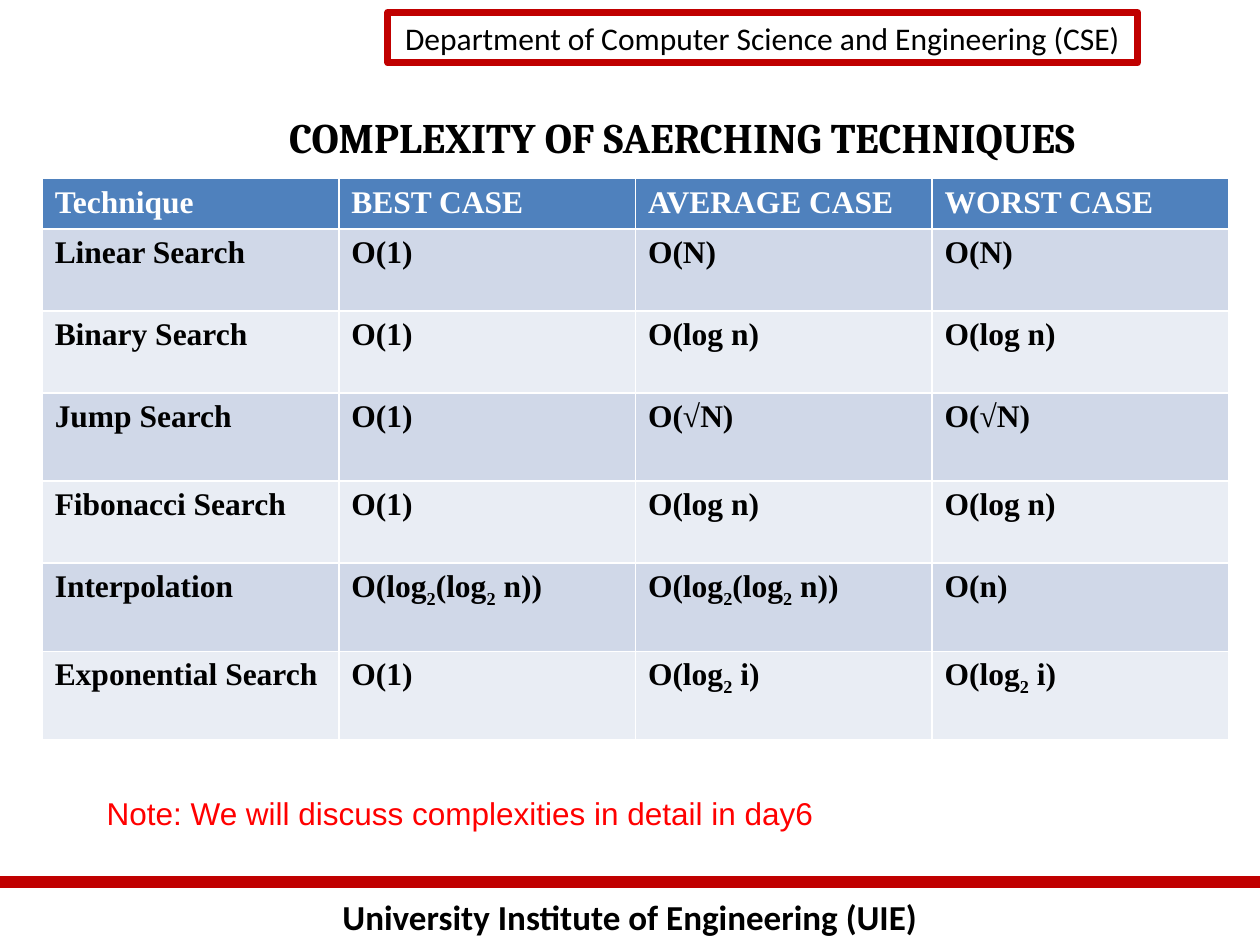
from lxml.etree import SubElement
from pptx import Presentation
from pptx.dml.color import RGBColor
from pptx.enum.shapes import MSO_CONNECTOR as Connector, MSO_SHAPE as Shape
from pptx.enum.text import MSO_ANCHOR as Anchor, PP_ALIGN as Align
from pptx.oxml.ns import qn
from pptx.util import Cm, Pt

BLACK = RGBColor(0x00, 0x00, 0x00)
WHITE = RGBColor(0xFF, 0xFF, 0xFF)
NOTE_RED = RGBColor(0xFF, 0x00, 0x00)
FRAME_RED = RGBColor(0xC0, 0x00, 0x00)
HEADER_BLUE = RGBColor(0x4F, 0x81, 0xBD)
BAND_DARK = RGBColor(0xD0, 0xD8, 0xE8)
BAND_LIGHT = RGBColor(0xE9, 0xED, 0xF4)


def write_text(text_frame, text, font="Calibri", size=18, color=BLACK, bold=False, align=Align.LEFT):
    paragraph = text_frame.paragraphs[0]
    paragraph.alignment = align
    for index, part in enumerate(text.split("₂")):
        pieces = [(part, "0")] if index == 0 else [("2", "-25000"), (part, "0")]
        for piece, baseline in pieces:
            run = paragraph.add_run()
            run.text = piece
            run.font.name = font
            run.font.size = Pt(size)
            run.font.bold = bold
            run.font.color.rgb = color
            run.font._element.set("baseline", baseline)


presentation = Presentation()
presentation.slide_width = Cm(25.4)
presentation.slide_height = Cm(19.05)
slide = presentation.slides.add_slide(presentation.slide_layouts[5])
shapes = slide.shapes

footer = shapes.add_textbox(Cm(0), Cm(17.93), Cm(25.4), Cm(1.11))
footer.text_frame.word_wrap = True
write_text(footer.text_frame, "University Institute of Engineering (UIE)", size=20, bold=True, align=Align.CENTER)

footer_line = shapes.add_connector(Connector.STRAIGHT, Cm(0), Cm(17.78), Cm(25.4), Cm(17.78))
footer_line.line.color.rgb = FRAME_RED
footer_line.line.width = Pt(7)
SubElement(footer_line._element.spPr, qn("a:effectLst"))

department = shapes.add_shape(Shape.RECTANGLE, Cm(7.82), Cm(0.25), Cm(15.11), Cm(1.02))
department.shadow.inherit = False
department.fill.background()
department.line.color.rgb = FRAME_RED
department.line.width = Pt(4)
department.text_frame.word_wrap = False
write_text(department.text_frame, "Department of Computer Science and Engineering (CSE)", align=Align.CENTER)

title = shapes.title
title.left, title.top, title.width, title.height = Cm(2.74), Cm(1.9), Cm(22.02), Cm(1.7)
title.text_frame.vertical_anchor = Anchor.MIDDLE
write_text(title.text_frame, "COMPLEXITY OF SAERCHING TECHNIQUES", font="Cambria", size=24, bold=True,
           align=Align.CENTER)

complexities = [
    ("Technique", "BEST CASE", "AVERAGE CASE", "WORST CASE"),
    ("Linear Search", "O(1)", "O(N)", "O(N)"),
    ("Binary Search", "O(1)", "O(log n)", "O(log n)"),
    ("Jump Search", "O(1)", "O(√N)", "O(√N)"),
    ("Fibonacci Search", "O(1)", "O(log n)", "O(log n)"),
    ("Interpolation", "O(log₂(log₂ n))", "O(log₂(log₂ n))", "O(n)"),
    ("Exponential Search", "O(1)", "O(log₂ i)", "O(log₂ i)"),
]
row_heights = [1.02, 1.65, 1.65, 1.78, 1.65, 1.78, 1.78]
table = shapes.add_table(len(complexities), 4, Cm(0.85), Cm(3.6), Cm(23.92), Cm(sum(row_heights))).table

for row_index, (row_texts, height) in enumerate(zip(complexities, row_heights)):
    table.rows[row_index].height = Cm(height)
    is_header = row_index == 0
    band = HEADER_BLUE if is_header else BAND_DARK if row_index % 2 else BAND_LIGHT
    for column_index, text in enumerate(row_texts):
        cell = table.cell(row_index, column_index)
        cell.fill.solid()
        cell.fill.fore_color.rgb = band
        write_text(cell.text_frame, text, font="Times New Roman", bold=True, color=WHITE if is_header else BLACK)

note = shapes.add_textbox(Cm(1.9), Cm(15.88), Cm(21.17), Cm(1.02))
note.text_frame.word_wrap = True
write_text(note.text_frame, "Note: We will discuss complexities in detail in day6", font="Arial", color=NOTE_RED)

presentation.save("out.pptx")
